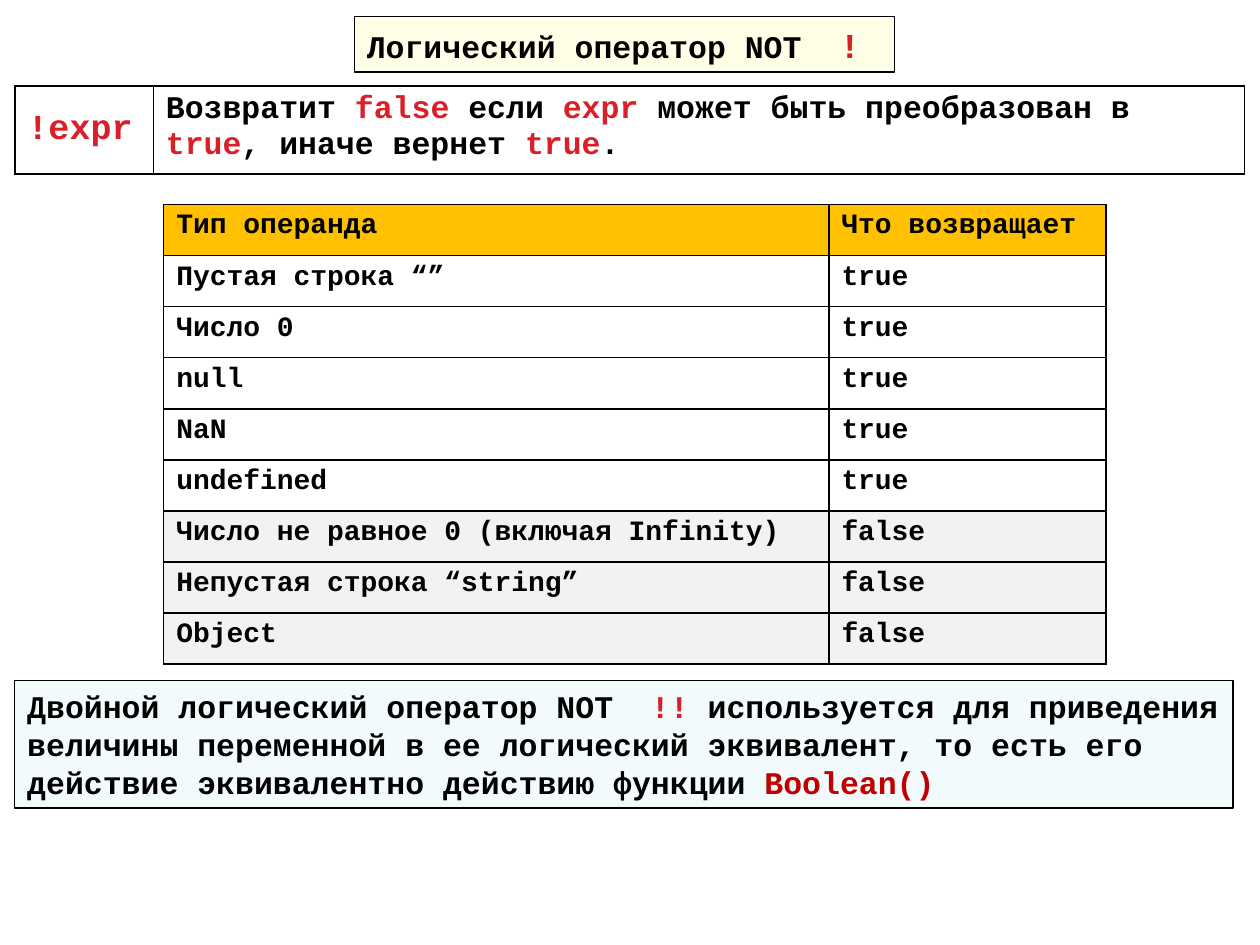
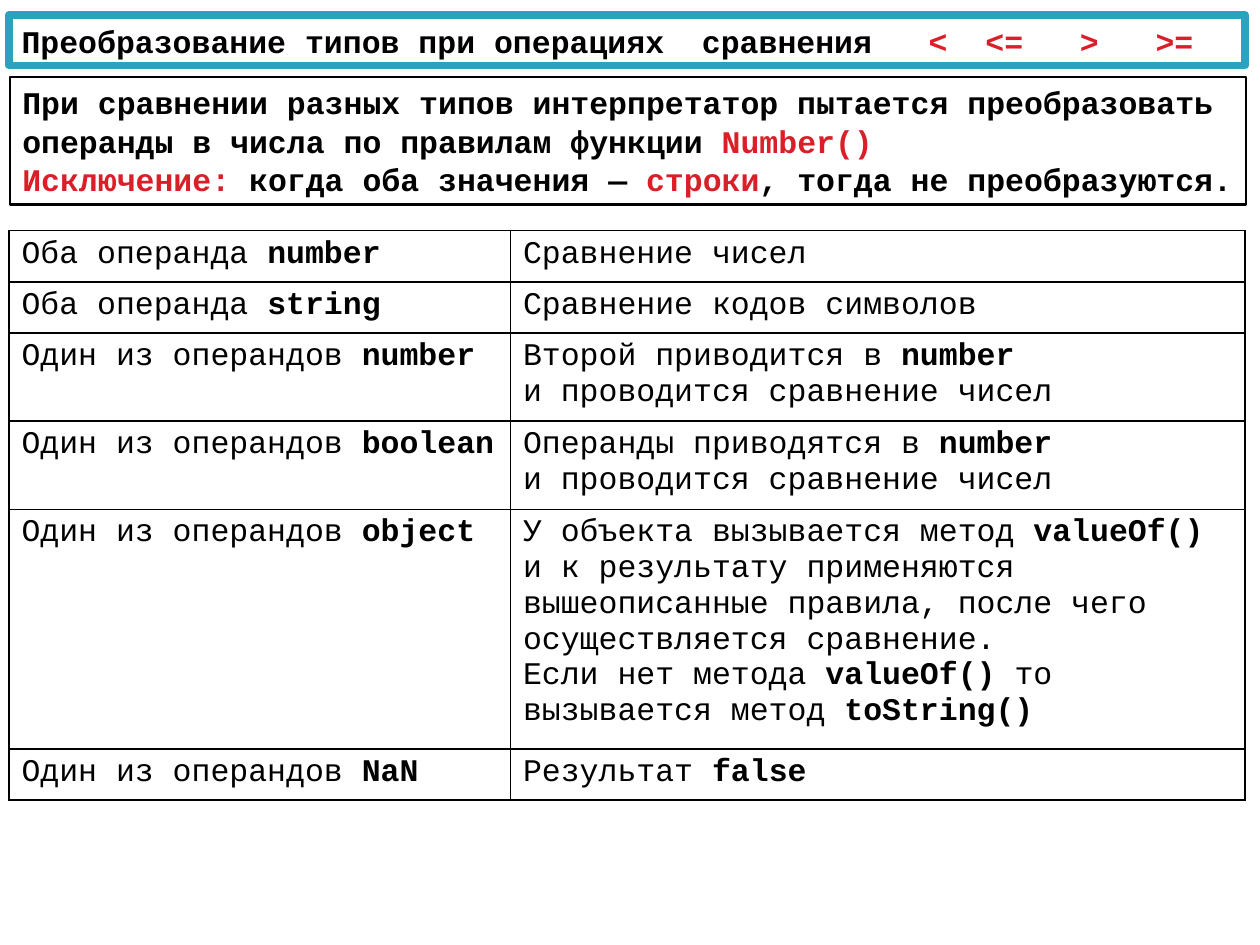
from itertools import cycle

from lxml.etree import SubElement
from pptx import Presentation
from pptx.dml.color import RGBColor
from pptx.enum.shapes import MSO_SHAPE as Shape
from pptx.enum.text import MSO_ANCHOR as Anchor, MSO_AUTO_SIZE as AutoSize, PP_ALIGN as Align
from pptx.oxml.ns import qn
from pptx.util import Cm, Pt

COLOURS = {
    "black": "000000",
    "white": "FFFFFF",
    "red": "DA1F28",
    "dark_red": "C00000",
    "yellow": "FFFF00",
    "sky": "7ACBE0",
    "teal": "2DA2BF",
    "header": "FFC000",
    "falsy": "F2F2F2",
}
FONT = "Courier New"
CHARACTER_WIDTH = 0.381
LINE_FACTOR = 1.21
ROW = 1.03
TWO_LINE_ROW = 1.78

OPERAND_ROWS = [
    ("Тип операнда", "Что возвращает"),
    ("Пустая строка “”", "true"),
    ("Число 0", "true"),
    ("null", "true"),
    ("NaN", "true"),
    ("undefined", "true"),
    ("Число не равное 0 (включая Infinity)", "false"),
    ("Непустая строка “string”", "false"),
    ("Object", "false"),
]
COMPARISON_ROWS = [
    ("Оба операнда |number|", "Сравнение чисел"),
    ("Оба операнда |string|", "Сравнение кодов символов"),
    ("Один из операндов |number|",
     "Второй приводится в |number|\nи проводится сравнение чисел"),
    ("Один из операндов |boolean|",
     "Операнды приводятся в |number|\nи проводится сравнение чисел"),
    ("Один из операндов |object|",
     "У объекта вызывается метод |valueOf()|\n"
     "и к результату применяются вышеописанные правила, "
     "после чего осуществляется сравнение.\n"
     "Если нет метода |valueOf()| то вызывается метод |toString()|"),
    ("Один из операндов |NaN|", "Результат |false|"),
]


def colour(name):
    """Return the named palette colour."""
    return RGBColor.from_string(COLOURS[name])


def write_text(frame, text, size=18, bold=True, accents=("red",), accent_size=None,
               spacing=None, tab_columns=()):
    """Write lines of text, giving the parts between bars the accent format."""
    accent_colours = cycle(accents)
    for number, line in enumerate(text.split("\n")):
        paragraph = frame.add_paragraph() if number else frame.paragraphs[0]
        if tab_columns:
            tabs = SubElement(paragraph._p.get_or_add_pPr(), qn("a:tabLst"))
            for column in tab_columns:
                position = str(Cm(column * CHARACTER_WIDTH))
                SubElement(tabs, qn("a:tab"), pos=position, algn="l")
        paragraph.alignment = Align.LEFT
        paragraph.space_before = Pt(0)
        if spacing:
            paragraph.line_spacing = Pt(spacing)
        for index, part in enumerate(line.split("|")):
            if not part:
                continue
            accented = index % 2 == 1
            run = paragraph.add_run()
            run.text = part
            font = run.font
            font.name = FONT
            font.size = Pt(accent_size or size) if accented else Pt(size)
            font.bold = bold or accented
            font.color.rgb = colour(next(accent_colours) if accented else "black")


def style_box(shape, text, fill=None, alpha=None, line="black", line_width=0.75,
              **text_format):
    """Fill and outline a box and write its text."""
    if fill:
        shape.fill.solid()
        shape.fill.fore_color.rgb = colour(fill)
        if alpha:
            swatch = shape.fill._xPr.find(".//" + qn("a:srgbClr"))
            SubElement(swatch, qn("a:alpha"), val=str(alpha * 1000))
    else:
        shape.fill.background()
    shape.line.color.rgb = colour(line)
    shape.line.width = Pt(line_width)
    frame = shape.text_frame
    frame.word_wrap = True
    frame.auto_size = AutoSize.NONE
    frame.vertical_anchor = Anchor.TOP
    largest = text_format.get("accent_size") or 18
    write_text(frame, text, spacing=round(largest * LINE_FACTOR, 1), **text_format)


def place_title(slide, box, text, **box_format):
    """Move the title placeholder into the box and format it."""
    title = slide.shapes.title
    title.left, title.top, title.width, title.height = map(Cm, box)
    style_box(title, text, **box_format)


def add_note(slide, box, text, **box_format):
    """Add a framed block of explanation."""
    note = slide.shapes.add_shape(Shape.RECTANGLE, *map(Cm, box))
    note.shadow.inherit = False
    style_box(note, text, **box_format)


def add_borders(cell):
    """Draw thin black lines on the four sides of a cell."""
    properties = cell._tc.get_or_add_tcPr()
    for side in ("a:lnL", "a:lnR", "a:lnT", "a:lnB"):
        border = SubElement(properties, qn(side), w=str(Pt(1)))
        fill = SubElement(border, qn("a:solidFill"))
        SubElement(fill, qn("a:srgbClr"), val=COLOURS["black"])


def add_grid(slide, left, top, widths, heights, rows, fills=None, **text_format):
    """Add a bordered table with optional fills by row number."""
    box = (left, top, sum(widths), sum(heights))
    table = slide.shapes.add_table(len(rows), len(widths), *map(Cm, box)).table
    table.first_row = table.horz_banding = False
    for column, width in zip(table.columns, widths):
        column.width = Cm(width)
    for number, (row, height, texts) in enumerate(zip(table.rows, heights, rows)):
        row.height = Cm(height)
        for cell, text in zip(row.cells, texts):
            add_borders(cell)
            if fills and number in fills:
                cell.fill.solid()
                cell.fill.fore_color.rgb = colour(fills[number])
            else:
                cell.fill.background()
            write_text(cell.text_frame, text, **text_format)
    return table


def build_not_slide(slide):
    """Explain the NOT operator and its results by operand type."""
    place_title(slide, (7.14, 0.33, 10.9, 1.12), "Логический оператор NOT\t|!|",
                fill="yellow", alpha=9, accent_size=20, tab_columns=[25])
    fills = {0: "header", **dict.fromkeys((6, 7, 8), "falsy")}
    add_grid(slide, 3.3, 4.12, [13.41, 5.59], [ROW] * len(OPERAND_ROWS),
             OPERAND_ROWS, fills=fills, size=16)
    add_note(slide, (0.3, 13.72, 24.56, 2.57),
             "Двойной логический оператор NOT\t|!!| используется для приведения "
             "величины переменной в ее логический эквивалент, то есть его действие "
             "эквивалентно действию функции |Boolean()|",
             fill="sky", alpha=9, accents=("red", "dark_red"), tab_columns=[33])
    rule = add_grid(slide, 0.3, 1.73, [2.79, 22], [TWO_LINE_ROW],
                    [("", "Возвратит |false| если |expr| может быть преобразован в "
                          "|true|, иначе вернет |true|.")])
    expression = rule.cell(0, 0)
    expression.vertical_anchor = Anchor.MIDDLE
    write_text(expression.text_frame, "|!expr|", accent_size=20)


def build_comparison_slide(slide):
    """Explain type conversion in comparisons."""
    place_title(slide, (0.18, 0.3, 24.92, 1.02),
                "Преобразование типов при операциях\tсравнения|\t<\t<=\t>\t>=|",
                fill="white", line="teal", line_width=4.33,
                tab_columns=[36, 48, 51, 56, 60])
    heights = [ROW, ROW, TWO_LINE_ROW, TWO_LINE_ROW, 4.83, ROW]
    add_grid(slide, 0.18, 4.65, [10.11, 14.81], heights, COMPARISON_ROWS,
             bold=False, accents=("black",))
    add_note(slide, (0.2, 1.55, 24.92, 2.57),
             "При сравнении разных типов интерпретатор пытается преобразовать "
             "операнды в числа по правилам функции |Number()|\n"
             "|Исключение:| когда оба значения — |строки|, тогда не преобразуются.",
             line_width=1.5)


def main():
    """Build the presentation."""
    presentation = Presentation()
    presentation.slide_width, presentation.slide_height = Cm(25.4), Cm(19.05)
    title_only = presentation.slide_layouts[5]
    for build in (build_not_slide, build_comparison_slide):
        build(presentation.slides.add_slide(title_only))
    presentation.save("out.pptx")


if __name__ == "__main__":
    main()
